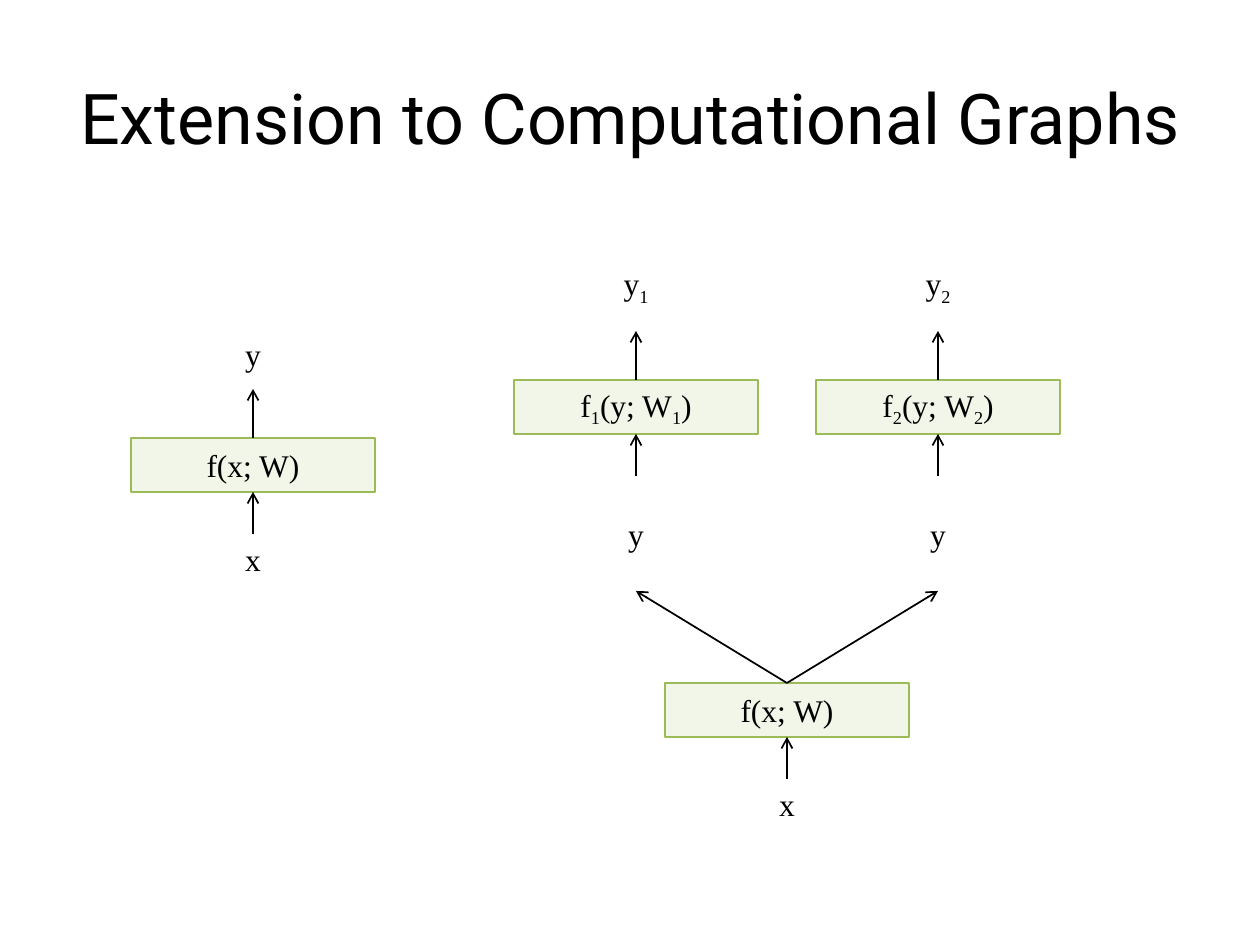
from dataclasses import dataclass

from lxml import etree
from pptx import Presentation
from pptx.dml.color import RGBColor
from pptx.enum.shapes import MSO_CONNECTOR, MSO_SHAPE
from pptx.enum.text import MSO_ANCHOR, MSO_AUTO_SIZE, PP_ALIGN
from pptx.oxml.ns import qn
from pptx.util import Emu, Pt

STRAIGHT = MSO_CONNECTOR.STRAIGHT
RECTANGLE = MSO_SHAPE.RECTANGLE
TOP, MIDDLE = MSO_ANCHOR.TOP, MSO_ANCHOR.MIDDLE
GROW, FIXED = MSO_AUTO_SIZE.SHAPE_TO_FIT_TEXT, MSO_AUTO_SIZE.NONE
CENTER = PP_ALIGN.CENTER
PX = 914400 / 126


@dataclass(frozen=True)
class Theme:
    """Colours, fonts and sizes used on the slide."""
    ink: RGBColor = RGBColor(0x00, 0x00, 0x00)
    node_fill: RGBColor = RGBColor(0xD7, 0xE4, 0xBD)
    node_edge: RGBColor = RGBColor(0x9B, 0xBB, 0x59)
    node_alpha: str = "33000"
    subscript: str = "-25000"
    title_font: str = "Roboto"
    math_font: str = "Times New Roman"
    title_size: Pt = Pt(40)
    math_size: Pt = Pt(18)
    edge_width: Pt = Pt(0.75)
    arrow_width: Pt = Pt(1)


THEME = Theme()
TITLE_FORMAT = {"name": THEME.title_font, "size": THEME.title_size}
MATH_FORMAT = {"name": THEME.math_font, "size": THEME.math_size}
NODE_W, NODE_H = 244, 54
LABEL_W, LABEL_H = 79, 50
ARROW_IN, ARROW_OUT = 42, 49


def px(*lengths):
    """Turn pixel lengths into EMU."""
    return [Emu(round(length * PX)) for length in lengths]


def write(shape, text, font_format, anchor=MIDDLE, fit=FIXED):
    """Write centred text, with subscripts between underscores."""
    frame_format = {"word_wrap": True, "vertical_anchor": anchor, "auto_size": fit}
    for key, value in frame_format.items():
        setattr(shape.text_frame, key, value)
    paragraph = shape.text_frame.paragraphs[0]
    paragraph.alignment = CENTER
    for index, part in enumerate(text.split("_")):
        run = paragraph.add_run()
        run.text = part
        for key, value in font_format.items():
            setattr(run.font, key, value)
        run.font.color.rgb = THEME.ink
        if index % 2:
            run.font._element.set("baseline", THEME.subscript)


def add_title(slide, box, text):
    """Place the slide title in its box."""
    write(slide.shapes.add_textbox(*px(*box)), text, TITLE_FORMAT)


def add_label(slide, center, top, text):
    """Place a variable name centred under or over an arrow."""
    box = px(center - LABEL_W / 2, top, LABEL_W, LABEL_H)
    write(slide.shapes.add_textbox(*box), text, MATH_FORMAT, TOP, GROW)


def add_arrow(slide, start, end):
    """Draw an open-headed arrow from start to end."""
    arrow = slide.shapes.add_connector(STRAIGHT, *px(*start, *end))
    arrow.line.color.rgb = THEME.ink
    arrow.line.width = THEME.arrow_width
    etree.SubElement(arrow.line._get_or_add_ln(), qn("a:tailEnd"), type="arrow")
    etree.SubElement(arrow._element.spPr, qn("a:effectLst"))


def add_node(slide, center, top, formula):
    """Draw a function node with the arrow entering it."""
    node = slide.shapes.add_shape(RECTANGLE, *px(center - NODE_W / 2, top, NODE_W, NODE_H))
    node.shadow.inherit = False
    node.fill.solid()
    node.fill.fore_color.rgb = THEME.node_fill
    tint = node._element.spPr.find(qn("a:solidFill")).find(qn("a:srgbClr"))
    etree.SubElement(tint, qn("a:alpha"), val=THEME.node_alpha)
    node.line.color.rgb = THEME.node_edge
    node.line.width = THEME.edge_width
    write(node, formula, MATH_FORMAT)
    bottom = top + NODE_H
    add_arrow(slide, (center, bottom + ARROW_IN), (center, bottom))


def add_unit(slide, center, top, formula, source, source_gap, result, result_rise):
    """Draw a node with its input below and its output above."""
    add_node(slide, center, top, formula)
    add_arrow(slide, (center, top), (center, top - ARROW_OUT))
    add_label(slide, center, top + NODE_H + source_gap, source)
    add_label(slide, center, top - result_rise, result)


def add_single_graph(slide, center, top):
    """Draw the graph of one function."""
    add_unit(slide, center, top, "f(x; W)", "x", ARROW_IN, "y", 109)


def add_branching_graph(slide, center, top):
    """Draw the graph whose output feeds two functions."""
    root_top = top + 303
    add_node(slide, center, root_top, "f(x; W)")
    add_label(slide, center, root_top + NODE_H + ARROW_IN, "x")
    for number, side in ((1, -1), (2, 1)):
        branch = center + side * 151
        formula = f"f_{number}_(y; W_{number}_)"
        add_unit(slide, branch, top, formula, "y", 75, f"y_{number}_", 122)
        add_arrow(slide, (center, root_top), (branch, root_top - 92))


def main():
    """Build and save the slide."""
    deck = Presentation()
    deck.slide_width, deck.slide_height = px(1260, 945)
    slide = deck.slides.add_slide(deck.slide_layouts[6])
    add_title(slide, (63, 38, 1134, 157), "Extension to Computational Graphs")
    add_single_graph(slide, 253, 438)
    add_branching_graph(slide, 787, 380)
    deck.save("out.pptx")


if __name__ == "__main__":
    main()
